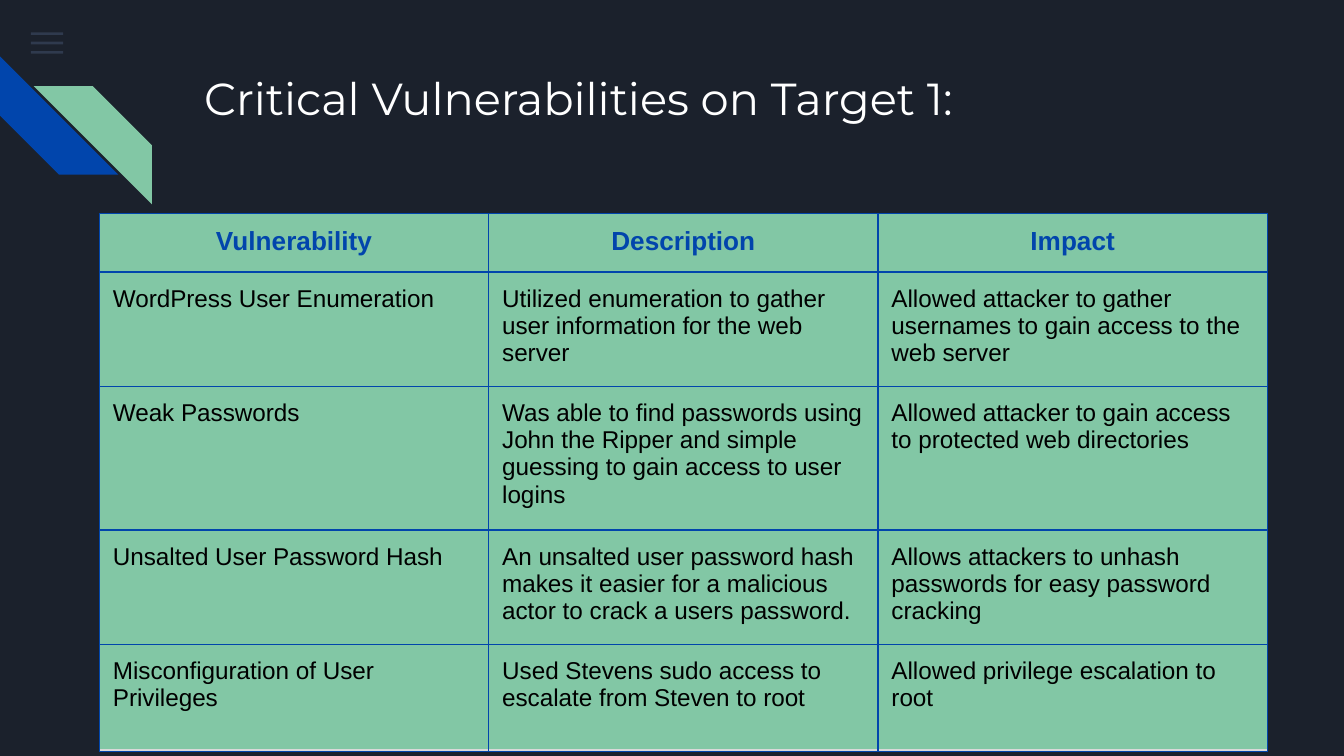
"""Build the slide of critical vulnerabilities found on Target 1."""
from lxml import etree
from pptx import Presentation
from pptx.dml.color import RGBColor
from pptx.enum.shapes import MSO_SHAPE
from pptx.enum.text import PP_ALIGN
from pptx.oxml.ns import qn
from pptx.util import Inches, Pt

RECTANGLE = MSO_SHAPE.RECTANGLE
STRIPE = MSO_SHAPE.DIAGONAL_STRIPE
CENTER = PP_ALIGN.CENTER
LEFT = PP_ALIGN.LEFT

NAVY = RGBColor(0x1B, 0x21, 0x2C)
SLATE = RGBColor(0x55, 0x68, 0x8B)
BLUE = RGBColor(0x01, 0x45, 0xAC)
MINT = RGBColor(0x82, 0xC7, 0xA5)
GREY = RGBColor(0xD9, 0xD9, 0xD9)
WHITE = RGBColor(0xFF, 0xFF, 0xFF)
BLACK = RGBColor(0x00, 0x00, 0x00)

TITLE = "Critical Vulnerabilities on Target 1:"
ROWS = [
    ("Vulnerability", "Description", "Impact"),
    ("WordPress User Enumeration",
     "Utilized enumeration to gather user information for the web server",
     "Allowed attacker to gather usernames to gain access to the web server"),
    ("Weak Passwords",
     "Was able to find passwords using John the Ripper and simple guessing to gain access to user logins",
     "Allowed attacker to gain access to protected web directories"),
    ("Unsalted User Password Hash",
     "An unsalted user password hash makes it easier for a malicious actor to crack a users password.",
     "Allows attackers to unhash passwords for easy password cracking"),
    ("Misconfiguration of User Privileges",
     "Used Stevens sudo access to escalate from Steven to root",
     "Allowed privilege escalation to root"),
]
ROW_HEIGHTS = [0.43, 0.85, 1.06, 0.85, 0.8]
TABLE_LEFT, TABLE_TOP, TABLE_WIDTH = 0.74, 1.59, 8.69
STRIPES = [(0, 0.42, 270, BLUE), (0.25, 0.64, 90, MINT)]
STRIPE_SIZE = 0.88
MENU_TOP, MENU_GAP, MENU_BARS = 0.24, 0.07, 3
MARGIN = Inches(0.1)


def add_block(slide, kind, left, top, width, height, color):
    shape = slide.shapes.add_shape(kind, Inches(left), Inches(top), Inches(width), Inches(height))
    shape.shadow.inherit = False
    shape.fill.solid()
    shape.fill.fore_color.rgb = color
    shape.line.fill.background()
    return shape


def set_margins(holder):
    holder.margin_left = holder.margin_right = MARGIN
    holder.margin_top = holder.margin_bottom = MARGIN


def write(paragraph, text, font_name, size, color, bold=False):
    run = paragraph.add_run()
    run.text = text
    run.font.name = font_name
    run.font.size = Pt(size)
    run.font.color.rgb = color
    run.font.bold = bold


def set_borders(cell, color, width):
    properties = cell._tc.get_or_add_tcPr()
    for index, side in enumerate(("a:lnL", "a:lnR", "a:lnT", "a:lnB")):
        line = etree.Element(qn(side), w=str(Pt(width)))
        fill = etree.SubElement(line, qn("a:solidFill"))
        etree.SubElement(fill, qn("a:srgbClr"), val=str(color))
        properties.insert(index, line)


def add_decoration(slide):
    for index in range(MENU_BARS):
        bar = add_block(slide, RECTANGLE, 0.23, MENU_TOP + index * MENU_GAP, 0.24, 0.02, SLATE)
        color = bar.fill._xPr.find(".//" + qn("a:srgbClr"))
        etree.SubElement(color, qn("a:alpha"), val="36000")
    for left, top, rotation, color in STRIPES:
        stripe = add_block(slide, STRIPE, left, top, STRIPE_SIZE, STRIPE_SIZE, color)
        stripe.rotation = rotation


def add_title(slide):
    box = slide.shapes.add_textbox(Inches(1.42), Inches(0.43), Inches(7.7), Inches(1))
    box.text_frame.word_wrap = True
    set_margins(box.text_frame)
    write(box.text_frame.paragraphs[0], TITLE, "Montserrat", 24, WHITE)


def add_vulnerability_table(slide):
    panel = add_block(slide, RECTANGLE, TABLE_LEFT, TABLE_TOP, TABLE_WIDTH, 3.99, MINT)
    panel.line.color.rgb = GREY
    panel.line.width = Pt(0.75)

    columns = len(ROWS[0])
    table = slide.shapes.add_table(
        len(ROWS), columns, Inches(TABLE_LEFT), Inches(TABLE_TOP),
        Inches(TABLE_WIDTH), Inches(sum(ROW_HEIGHTS))).table
    table.first_row = table.horz_banding = False
    for column in table.columns:
        column.width = Inches(TABLE_WIDTH / columns)
    for row_index, (texts, height) in enumerate(zip(ROWS, ROW_HEIGHTS)):
        table.rows[row_index].height = Inches(height)
        header = row_index == 0
        for column_index, text in enumerate(texts):
            cell = table.cell(row_index, column_index)
            cell.fill.background()
            set_margins(cell)
            set_borders(cell, BLUE, 0.75)
            paragraph = cell.text_frame.paragraphs[0]
            paragraph.alignment = CENTER if header else LEFT
            write(paragraph, text, "Arial", 14 if header else 13, BLUE if header else BLACK, header)


def main():
    presentation = Presentation()
    presentation.slide_width = Inches(10)
    presentation.slide_height = presentation.slide_width * 9 // 16
    slide = presentation.slides.add_slide(presentation.slide_layouts[6])
    slide.background.fill.solid()
    slide.background.fill.fore_color.rgb = NAVY
    add_decoration(slide)
    add_title(slide)
    add_vulnerability_table(slide)
    presentation.save("out.pptx")


if __name__ == "__main__":
    main()
